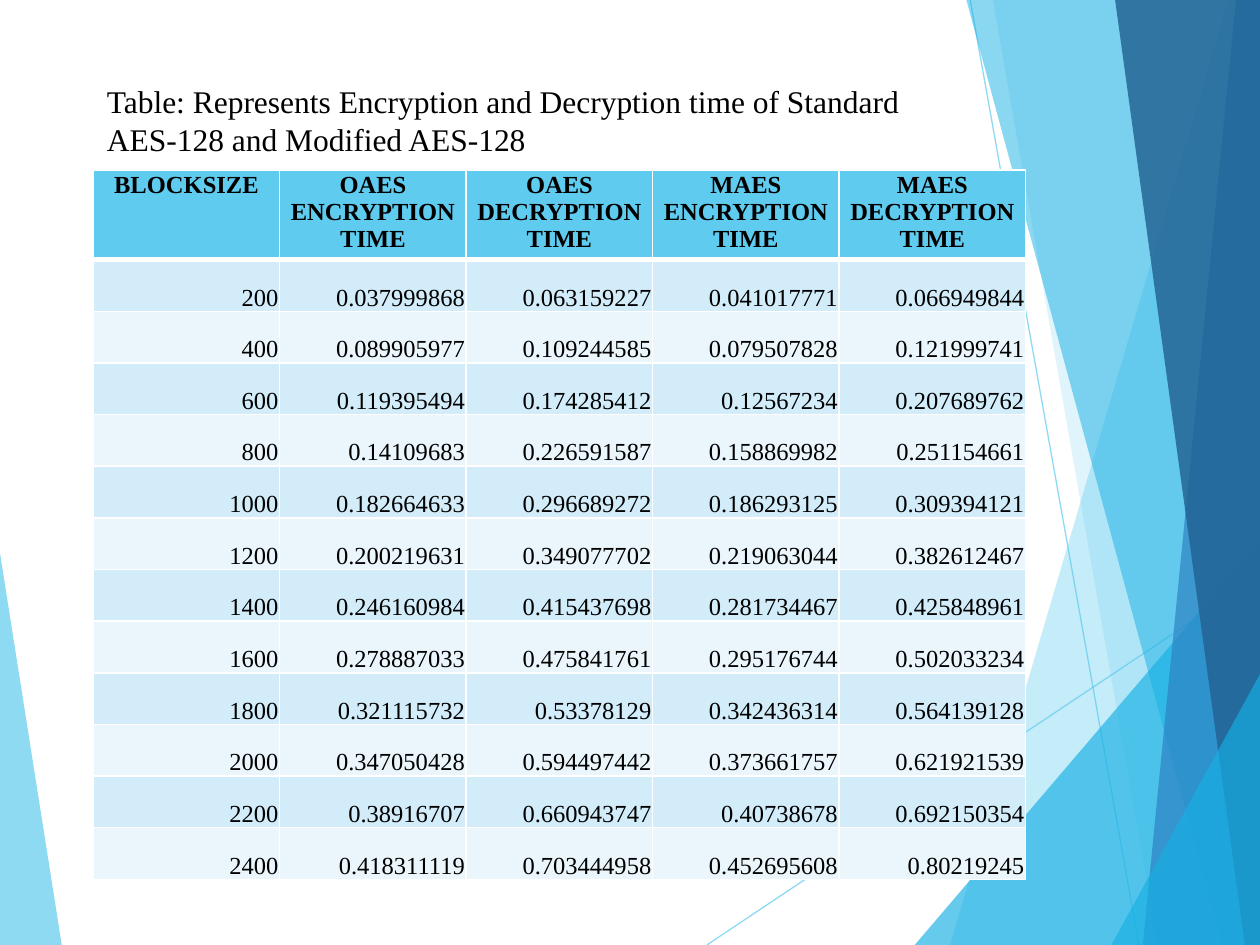
import pptx
import pptx.dml.color
import pptx.enum.shapes
import pptx.enum.text
import pptx.oxml
import pptx.oxml.ns
import pptx.util
from lxml import etree

RGB = pptx.dml.color.RGBColor
Inches, Pt = pptx.util.Inches, pptx.util.Pt
ALIGN = pptx.enum.text.PP_ALIGN
ANCHOR = pptx.enum.text.MSO_ANCHOR
qn = pptx.oxml.ns.qn

FONT = "Times New Roman"
BLACK = RGB(0x00, 0x00, 0x00)
WHITE = RGB(0xFF, 0xFF, 0xFF)
SKY = RGB(0x5F, 0xCB, 0xEF)
CYAN = RGB(0x17, 0xB0, 0xE4)
BLUE = RGB(0x2E, 0x83, 0xC3)
NAVY = RGB(0x22, 0x62, 0x92)
BANDS = RGB(0xD2, 0xEC, 0xF9), RGB(0xEA, 0xF6, 0xFC)

TITLE = ("Table: Represents Encryption and Decryption time of Standard "
         "AES-128 and Modified AES-128")
HEADERS = ["BLOCKSIZE", "OAES ENCRYPTION TIME", "OAES DECRYPTION TIME",
           "MAES ENCRYPTION TIME", "MAES DECRYPTION TIME"]
TIMES = [
    ("0.037999868", "0.063159227", "0.041017771", "0.066949844"),
    ("0.089905977", "0.109244585", "0.079507828", "0.121999741"),
    ("0.119395494", "0.174285412", "0.12567234", "0.207689762"),
    ("0.14109683", "0.226591587", "0.158869982", "0.251154661"),
    ("0.182664633", "0.296689272", "0.186293125", "0.309394121"),
    ("0.200219631", "0.349077702", "0.219063044", "0.382612467"),
    ("0.246160984", "0.415437698", "0.281734467", "0.425848961"),
    ("0.278887033", "0.475841761", "0.295176744", "0.502033234"),
    ("0.321115732", "0.53378129", "0.342436314", "0.564139128"),
    ("0.347050428", "0.594497442", "0.373661757", "0.621921539"),
    ("0.38916707", "0.660943747", "0.40738678", "0.692150354"),
    ("0.418311119", "0.703444958", "0.452695608", "0.80219245"),
]
BLOCK_STEP = 200

W, H = 10, 7.5
TABLE_LEFT, TABLE_TOP = 0.74, 1.35
COL_W, HEAD_H, ROW_H = 1.48, 0.68, 0.41

# Corner points in inches, fill, opacity in percent
LEFT_WEDGE = [(0, 4.39), (0.49, H), (0, H)], SKY, 70
RAYS = [((5.61, H), (W, 4.57)), ((7.7, 0), (9.04, H))]
FACETS = [
    ([(9.75, 0), (7.54, H), (W, H), (W, 0)], SKY, 36),
    ([(7.88, 0), (9.19, H), (W, H), (W, 0)], SKY, 20),
    ([(7.26, H), (W, 4.29), (W, H)], CYAN, 66),
    ([(7.67, 0), (9.7, H), (W, H), (W, 0)], CYAN, 50),
    ([(9.81, 0), (9.07, H), (W, H), (W, 0)], BLUE, 70),
    ([(8.85, 0), (9.88, H), (W, H), (W, 0)], NAVY, 82),
    ([(8.82, H), (W, 5.35), (W, H)], CYAN, 66),
]


def set_opacity(shape, percent):
    for color in shape._element.spPr.iter(qn("a:srgbClr")):
        etree.SubElement(color, qn("a:alpha")).set("val", str(percent * 1000))


def add_facet(shapes, points, color, opacity):
    start, *rest = [(Inches(x), Inches(y)) for x, y in points]
    builder = shapes.build_freeform(*start)
    builder.add_line_segments(rest, close=True)
    s = builder.convert_to_shape()
    s.shadow.inherit = False
    s.fill.solid()
    s.fill.fore_color.rgb = color
    s.line.fill.background()
    set_opacity(s, opacity)


def add_ray(shapes, start, end):
    s = shapes.add_connector(pptx.enum.shapes.MSO_CONNECTOR.STRAIGHT,
                             *[Inches(v) for v in start + end])
    s.line.color.rgb = SKY
    s.line.width = Pt(0.75)
    set_opacity(s, 70)
    etree.SubElement(s._element.spPr, qn("a:effectLst"))


def style_text(p, size, bold=False):
    font = p.runs[0].font
    font.name, font.size, font.bold = FONT, Pt(size), bold
    font.color.rgb = BLACK


def set_borders(cell, **widths):
    """Draw white borders; widths in points are keyed L, R, T and B."""
    tc_pr = cell._tc.get_or_add_tcPr()
    for i, side in enumerate("LRTB"):
        ln = etree.Element(qn("a:ln" + side), w=str(Pt(widths[side])))
        fill = etree.SubElement(ln, qn("a:solidFill"))
        etree.SubElement(fill, qn("a:srgbClr"), val=str(WHITE))
        tc_pr.insert(i, ln)


def fill_cell(cell, text, row):
    head = row == 0
    cell.text = text
    cell.margin_left = cell.margin_right = cell.margin_top = Inches(0.01)
    cell.margin_bottom = 0
    cell.vertical_anchor = ANCHOR.TOP if head else ANCHOR.BOTTOM
    cell.fill.solid()
    cell.fill.fore_color.rgb = SKY if head else BANDS[(row - 1) % 2]
    p = cell.text_frame.paragraphs[0]
    p.alignment = ALIGN.CENTER if head else ALIGN.RIGHT
    style_text(p, 14, bold=head)
    set_borders(cell, L=1, R=1, T=3 if row == 1 else 1, B=3 if head else 1)


def add_title(shapes):
    s = shapes.add_textbox(Inches(0.75), Inches(0.6), Inches(6.94), Inches(0.71))
    tf = s.text_frame
    tf.word_wrap = True
    tf.text = TITLE
    style_text(tf.paragraphs[0], 18)


def add_times_table(shapes):
    rows = [HEADERS] + [(str(BLOCK_STEP * i), *times)
                        for i, times in enumerate(TIMES, 1)]
    table = shapes.add_table(
        len(rows), len(HEADERS), Inches(TABLE_LEFT), Inches(TABLE_TOP),
        Inches(COL_W * len(HEADERS)), Inches(HEAD_H + ROW_H * len(TIMES))).table
    for column in table.columns:
        column.width = Inches(COL_W)
    for r, texts in enumerate(rows):
        table.rows[r].height = Inches(ROW_H if r else HEAD_H)
        for c, text in enumerate(texts):
            fill_cell(table.cell(r, c), text, r)


def main():
    prs = pptx.Presentation()
    prs.slide_width, prs.slide_height = Inches(W), Inches(H)
    shapes = prs.slides.add_slide(prs.slide_layouts[6]).shapes
    add_facet(shapes, *LEFT_WEDGE)
    for ray in RAYS:
        add_ray(shapes, *ray)
    for facet in FACETS:
        add_facet(shapes, *facet)
    add_title(shapes)
    add_times_table(shapes)
    prs.save("out.pptx")


if __name__ == "__main__":
    main()
